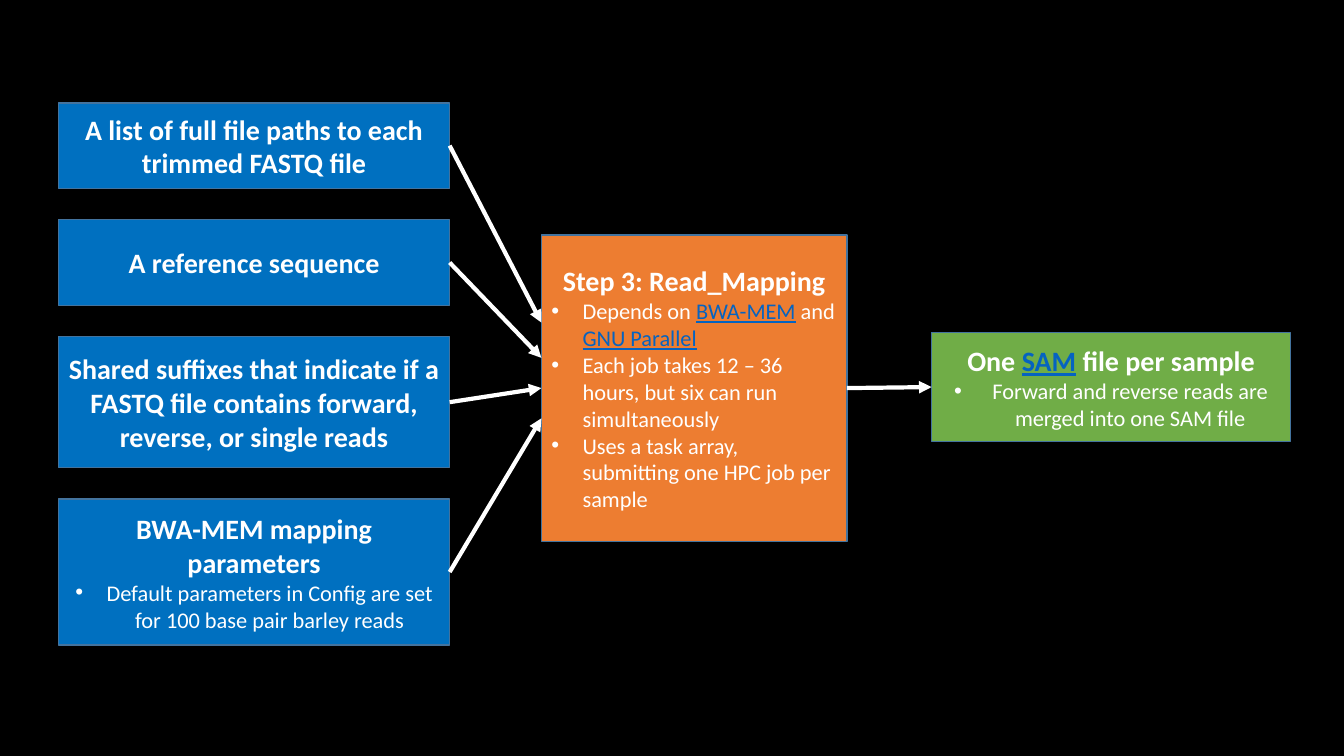
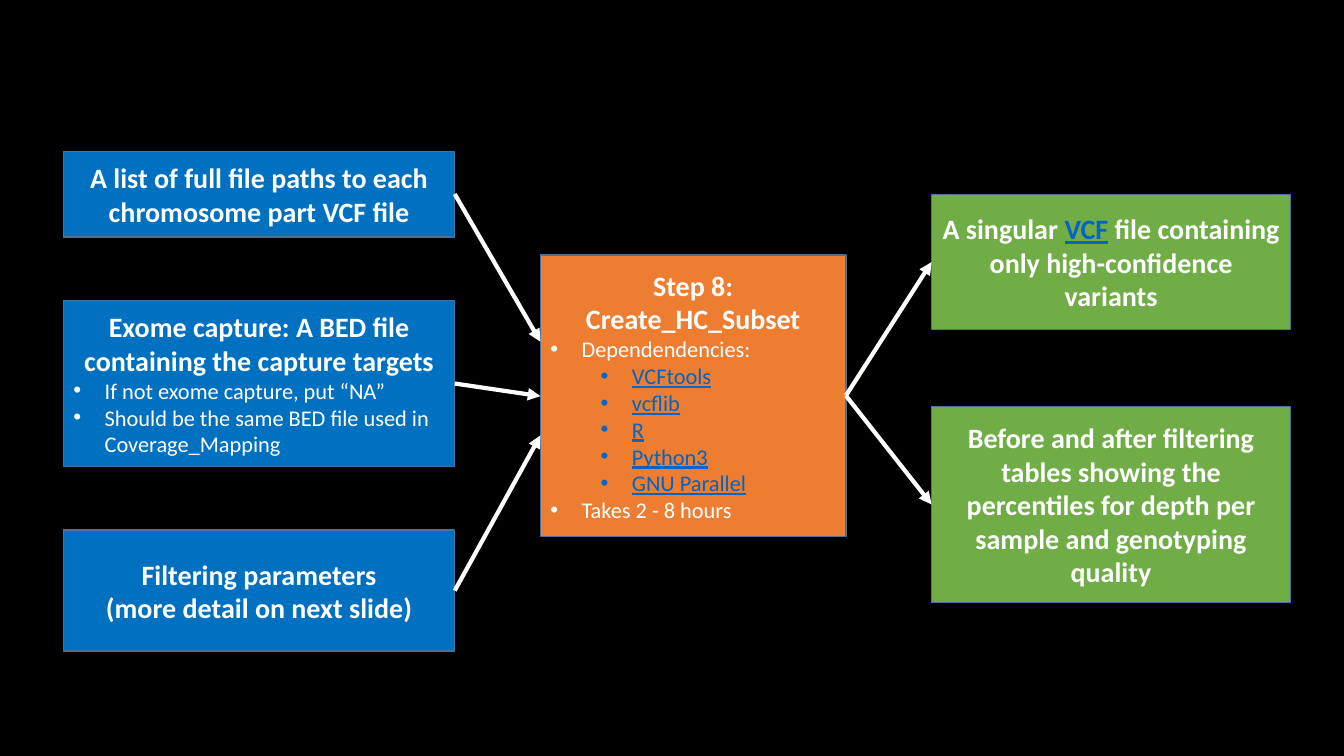
from lxml import etree
from pptx import Presentation, util as u
from pptx.dml.color import RGBColor
from pptx.enum import shapes, text as t
from pptx.oxml.ns import qn

COLOURS = {
    "background": "000000", "text": "FFFFFF", "link": "0563C1", "outline": "43739E",
    "input": "0070C0", "step": "ED7D31", "output": "70AD47",
}
FONT = "Calibri"
CENTRE, LEFT = t.PP_ALIGN.CENTER, t.PP_ALIGN.LEFT

# Paragraph styles; margin and hang are in inches, a hang brings a bullet.
STYLES = {
    "head": dict(size=20, bold=True, align=CENTRE),
    "point": dict(size=16, align=LEFT, margin=0.31, hang=0.31),
    "sub": dict(size=16, align=LEFT, margin=0.81, hang=0.31, level=1),
    "mid point": dict(size=16, align=CENTRE, margin=0.31, hang=0.31),
    "wide point": dict(size=16, align=CENTRE, margin=0.38, hang=0.38),
}

# Boxes are (height, [(style, text)]); words between bars look like links.
# "landings" are the heights at which the input arrows meet the step.
SLIDES = [
    {
        "inputs": dict(left=0.58, top=1.02, width=3.88, gap=0.31, boxes=[
            (0.85, [("head", "A list of full file paths to each trimmed FASTQ file")]),
            (0.85, [("head", "A reference sequence")]),
            (1.3, [("head", "Shared suffixes that indicate if a FASTQ file contains "
                            "forward, reverse, or single reads")]),
            (1.45, [("head", "BWA-MEM mapping parameters"),
                    ("mid point", "Default parameters in Config are set for "
                                  "100 base pair barley reads")]),
        ]),
        "step": dict(left=5.37, top=2.33, width=3.03, boxes=[
            (3.04, [("head", "Step 3: Read_Mapping"),
                    ("point", "Depends on |BWA-MEM| and |GNU Parallel|"),
                    ("point", "Each job takes 12 – 36 hours, but six can run simultaneously"),
                    ("point", "Uses a task array, submitting one HPC job per sample")]),
        ]),
        "outputs": dict(left=9.24, top=3.3, width=3.56, boxes=[
            (1.08, [("head", "One |SAM| file per sample"),
                    ("wide point", "Forward and reverse reads are merged into one SAM file")]),
        ]),
        "landings": [3.2, 3.55, 3.85, 4.15],
    },
    {
        "inputs": dict(left=0.63, top=1.5, width=3.88, gap=0.63, boxes=[
            (0.85, [("head", "A list of full file paths to each chromosome part VCF file")]),
            (1.65, [("head", "Exome capture: A BED file containing the capture targets"),
                    ("point", "If not exome capture, put “NA”"),
                    ("point", "Should be the same BED file used in Coverage_Mapping")]),
            (1.2, [("head", "Filtering parameters"),
                   ("head", "(more detail on next slide)")]),
        ]),
        "step": dict(left=5.36, top=2.53, width=3.03, boxes=[
            (2.79, [("head", "Step 8: Create_HC_Subset"),
                    ("point", "Dependendencies:"),
                    *[("sub", f"|{tool}|") for tool in
                      ("VCFtools", "vcflib", "R", "Python3", "GNU Parallel")],
                    ("point", "Takes 2 - 8 hours")]),
        ]),
        "outputs": dict(left=9.24, top=1.93, width=3.56, gap=0.76, boxes=[
            (1.34, [("head", "A singular |VCF| file containing only "
                             "high-confidence variants")]),
            (1.95, [("head", "Before and after filtering tables showing the percentiles "
                             "for depth per sample and genotyping quality")]),
        ]),
        "landings": [3.39, 3.93, 4.32],
    },
]


def colour(name):
    return RGBColor.from_string(COLOURS[name])


def write(para, text, *, size, align, bold=False, margin=0, hang=0, level=0):
    para.alignment, para.level = align, level
    if hang:
        props = para._p.get_or_add_pPr()
        props.set("marL", str(u.Inches(margin)))
        props.set("indent", str(-u.Inches(hang)))
        etree.SubElement(props, qn("a:buFont")).set("typeface", "Arial")
        etree.SubElement(props, qn("a:buChar")).set("char", "•")
    for index, part in enumerate(text.split("|")):
        if not part:
            continue
        is_link = index % 2 == 1
        span = para.add_run()
        span.text = part
        span.font.name, span.font.size, span.font.bold = FONT, u.Pt(size), bold
        span.font.underline = is_link
        span.font.color.rgb = colour("link" if is_link else "text")


def add_box(slide, fill, left, top, width, height, lines):
    box = slide.shapes.add_shape(shapes.MSO_SHAPE.RECTANGLE,
                                 *map(u.Inches, (left, top, width, height)))
    box.shadow.inherit = False
    box.fill.solid()
    box.fill.fore_color.rgb = colour(fill)
    box.line.color.rgb = colour("outline")
    box.line.width = u.Pt(1)
    frame = box.text_frame
    frame.word_wrap = True
    frame.vertical_anchor = t.MSO_ANCHOR.MIDDLE
    for index, (style, text) in enumerate(lines):
        para = frame.add_paragraph() if index else frame.paragraphs[0]
        write(para, text, **STYLES[style])
    return box


def add_stack(slide, fill, *, left, top, width, boxes, gap=0):
    """Place boxes one below another with equal gaps."""
    stack = []
    for height, lines in boxes:
        stack.append(add_box(slide, fill, left, top, width, height, lines))
        top += height + gap
    return stack


def add_arrow(slide, source, target, landing=None):
    """Join the right side of source to the left side of target, at its middle or at landing."""
    end_y = target.top + target.height // 2 if landing is None else u.Inches(landing)
    arrow = slide.shapes.add_connector(
        shapes.MSO_CONNECTOR.STRAIGHT, source.left + source.width,
        source.top + source.height // 2, target.left, end_y)
    arrow.begin_connect(source, 3)
    if landing is None:
        arrow.end_connect(target, 1)
    arrow.line.color.rgb = colour("text")
    arrow.line.width = u.Pt(3)
    props = arrow.element.spPr
    etree.SubElement(props.find(qn("a:ln")), qn("a:tailEnd")).set("type", "triangle")
    etree.SubElement(props, qn("a:effectLst"))


def add_flow(deck, flow):
    slide = deck.slides.add_slide(deck.slide_layouts[6])
    inputs = add_stack(slide, "input", **flow["inputs"])
    step, = add_stack(slide, "step", **flow["step"])
    outputs = add_stack(slide, "output", **flow["outputs"])
    for box, landing in zip(inputs, flow["landings"]):
        add_arrow(slide, box, step, landing)
    for box in outputs:
        add_arrow(slide, step, box)


def main():
    deck = Presentation()
    deck.slide_width, deck.slide_height = u.Inches(13.33), u.Inches(7.5)
    backdrop = deck.slide_master.background.fill
    backdrop.solid()
    backdrop.fore_color.rgb = colour("background")
    for flow in SLIDES:
        add_flow(deck, flow)
    deck.save("out.pptx")


if __name__ == "__main__":
    main()
